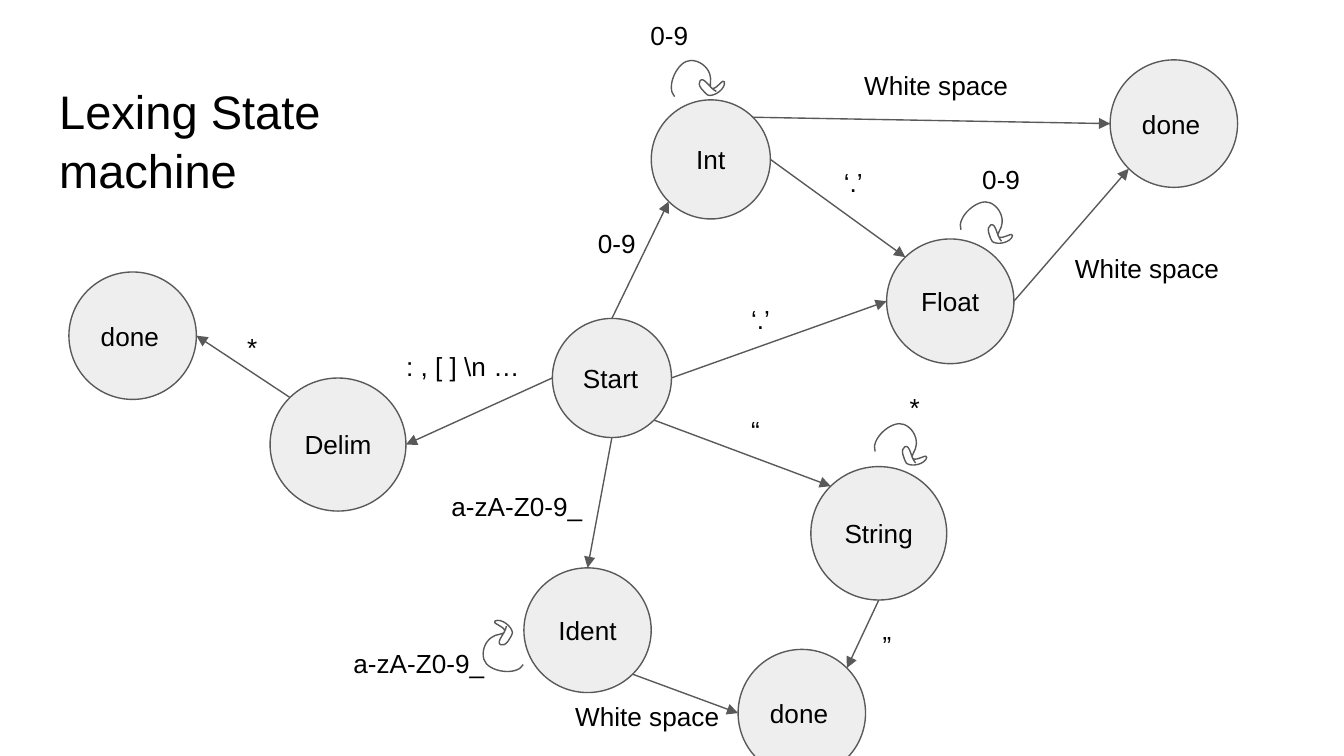
from math import cos, sin, radians
from lxml.etree import SubElement
from pptx import Presentation
from pptx.dml.color import RGBColor
from pptx.enum.shapes import MSO_SHAPE as SHAPE, MSO_CONNECTOR as CONN
from pptx.enum.text import PP_ALIGN as ALIGN, MSO_ANCHOR as ANCHOR, MSO_AUTO_SIZE as AUTO
from pptx.oxml.ns import qn
from pptx.util import Pt

BLACK = RGBColor(0x00, 0x00, 0x00)
GREY = RGBColor(0x59, 0x59, 0x59)
PALE = RGBColor(0xEE, 0xEE, 0xEE)

TITLE = "Lexing State machine"
STATES = {
    "start": ("Start", 295.9, 170.6, 63.8, 63.8, ALIGN.LEFT),
    "int": ("Int", 348.9, 53.5, 63.8, 63.8, ALIGN.CENTER),
    "float": ("Float", 475, 128, 68.2, 66.8, ALIGN.CENTER),
    "string": ("String", 434.4, 250, 72.8, 71.5, ALIGN.CENTER),
    "ident": ("Ident", 280.7, 304.2, 68.2, 66.8, ALIGN.CENTER),
    "delim": ("Delim", 144.7, 202.5, 72.8, 71.3, ALIGN.CENTER),
    "number done": ("done", 594.7, 32.1, 68.3, 68.3, ALIGN.LEFT),
    "text done": ("done", 395.4, 347.9, 68.3, 68.3, ALIGN.LEFT),
    "delim done": ("done", 36.9, 145.7, 68.3, 68.3, ALIGN.LEFT),
}
SITES = ["top", "top left", "left", "bottom left",
         "bottom", "bottom right", "right", "top right"]
EDGES = [
    ("start", "top", "int", "bottom left"),
    ("start", "right", "float", "left"),
    ("start", "bottom right", "string", "top left"),
    ("start", "bottom", "ident", "top"),
    ("start", "left", "delim", "right"),
    ("int", "right", "float", "top left"),
    ("int", "top right", "number done", "left"),
    ("float", "right", "number done", "bottom left"),
    ("string", "bottom", "text done", "top right"),
    ("delim", "top left", "delim done", "right"),
    ("ident", "bottom right", "text done", "left"),
]
LABELS = [
    ("‘.’", 395.3, 155.5, 30.2),
    ("0-9", 313.2, 114.5, 37.4),
    ("‘.’", 445, 82.1, 30.2),
    ("0-9", 341.3, 3.4, 37.4),
    ("0-9", 519.1, 80.2, 37.4),
    ("White space", 455.8, 30.2, 94.3),
    ("“", 395.3, 214.6, 30.2),
    ("*", 480.2, 202.3, 37.4),
    ("”", 465.8, 329.8, 37.4),
    ("*", 125.3, 170.6, 30.2),
    (": , [ ] \\n …", 210.5, 180.7, 94.3),
    ("a-zA-Z0-9_", 234.7, 255.6, 131),
    ("a-zA-Z0-9_", 182.2, 339.8, 131),
    ("White space", 568.8, 128.2, 94.3),
    ("White space", 301, 367.9, 94.3),
]
LABEL_H = 31.7
LOOPS = [(360, 32.4, 0), (516.2, 109.4, 23), (470.2, 228.2, 23), (253.4, 337, 253.6)]
LOOP_SIZE = (281, 194)
LOOP_UNIT = Pt(0.1)
LOOP_START = (14, 194)
LOOP_CURVES = [
    ((-36, 144), (29, 0), (101, 0)),
    ((144, 0), (187, 29), (202, 72)),
    ((216, 101), (194, 151), (216, 151)),
    ((245, 151), (274, 94), (281, 115)),
    ((288, 151), (230, 194), (194, 187)),
    ((173, 173), (130, 130), (151, 108)),
    ((173, 86), (202, 151), (238, 166)),
]


def write(sp, text, size=14, **fmt):
    tf = sp.text_frame
    frame = {"word_wrap": True, "vertical_anchor": ANCHOR.TOP}
    frame.update({"margin_" + side: Pt(7.2) for side in ("left", "top", "right", "bottom")})
    for name, value in frame.items():
        setattr(tf, name, value)
    p = tf.paragraphs[0]
    for name, value in {"alignment": ALIGN.LEFT, **fmt}.items():
        setattr(p, name, value)
    r = p.add_run()
    r.text = text
    r.font.color.rgb = BLACK
    for name, value in {"name": "Arial", "size": Pt(size), "bold": False}.items():
        setattr(r.font, name, value)
    return tf


def outline(sp):
    sp.line.color.rgb = GREY
    sp.line.width = Pt(0.75)


def site_point(state, site):
    _, x, y, w, h, _ = STATES[state]
    a = radians(90 + 45 * SITES.index(site))
    return Pt(x + w / 2 * (1 + cos(a))), Pt(y + h / 2 * (1 - sin(a)))


def add_points(path, tag, points):
    step = SubElement(path, qn(tag))
    for x, y in points:
        SubElement(step, qn("a:pt"), x=str(x), y=str(y))


prs = Presentation()
prs.slide_width, prs.slide_height = Pt(720), Pt(405)
s = prs.slides.add_slide(prs.slide_layouts[5])

title = s.shapes.title
title.left, title.top, title.width, title.height = Pt(24.5), Pt(35.3), Pt(250), Pt(45.4)
tf = write(title, TITLE, 25.2, line_spacing=1.05)
tf.auto_size = AUTO.NONE

circles = {}
for state, (text, x, y, w, h, align) in STATES.items():
    sp = s.shapes.add_shape(SHAPE.OVAL, Pt(x), Pt(y), Pt(w), Pt(h))
    sp.shadow.inherit = False
    sp.fill.solid()
    sp.fill.fore_color.rgb = PALE
    outline(sp)
    write(sp, text, alignment=align).vertical_anchor = ANCHOR.MIDDLE
    circles[state] = sp

for source, leave, target, enter in EDGES:
    arrow = s.shapes.add_connector(
        CONN.STRAIGHT, *site_point(source, leave), *site_point(target, enter))
    outline(arrow)
    SubElement(arrow.line._get_or_add_ln(), qn("a:tailEnd"), type="triangle")
    SubElement(arrow._element.spPr, qn("a:effectLst"))
    ends = arrow._element.nvCxnSpPr.cNvCxnSpPr
    for tag, state, site in (("a:stCxn", source, leave), ("a:endCxn", target, enter)):
        SubElement(ends, qn(tag), id=str(circles[state].shape_id), idx=str(SITES.index(site)))

for x, y, angle in LOOPS:
    builder = s.shapes.build_freeform(0, 0, scale=LOOP_UNIT)
    builder.add_line_segments([LOOP_SIZE], close=False)
    loop = builder.convert_to_shape(Pt(x), Pt(y))
    path = next(loop._element.iter(qn("a:path")))
    for step in list(path):
        path.remove(step)
    add_points(path, "a:moveTo", [LOOP_START])
    for curve in LOOP_CURVES:
        add_points(path, "a:cubicBezTo", curve)
    loop.rotation = angle
    loop.shadow.inherit = False
    loop.fill.background()
    outline(loop)

for text, x, y, w in LABELS:
    label = s.shapes.add_textbox(Pt(x), Pt(y), Pt(w), Pt(LABEL_H))
    write(label, text).auto_size = AUTO.SHAPE_TO_FIT_TEXT

prs.save("out.pptx")
